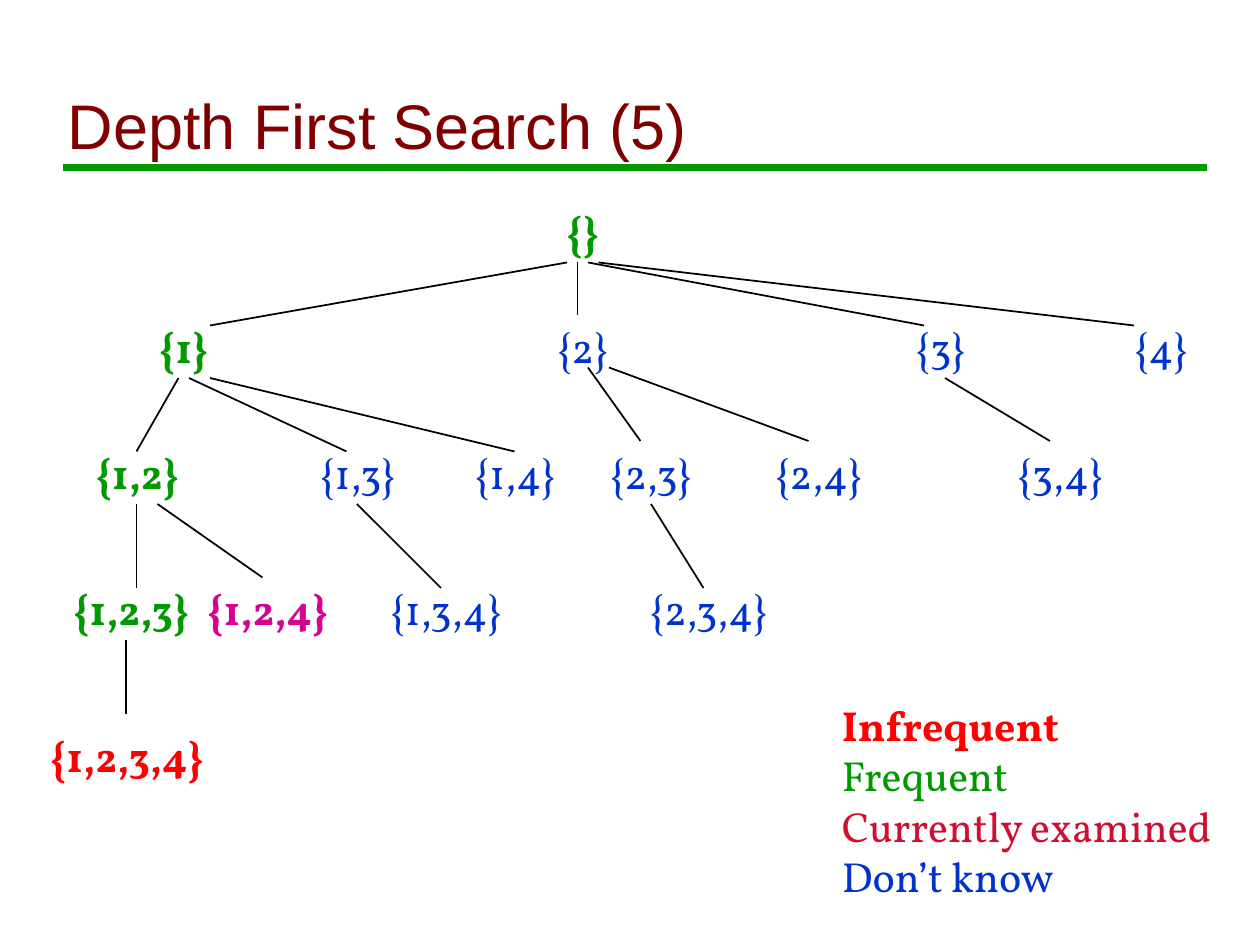
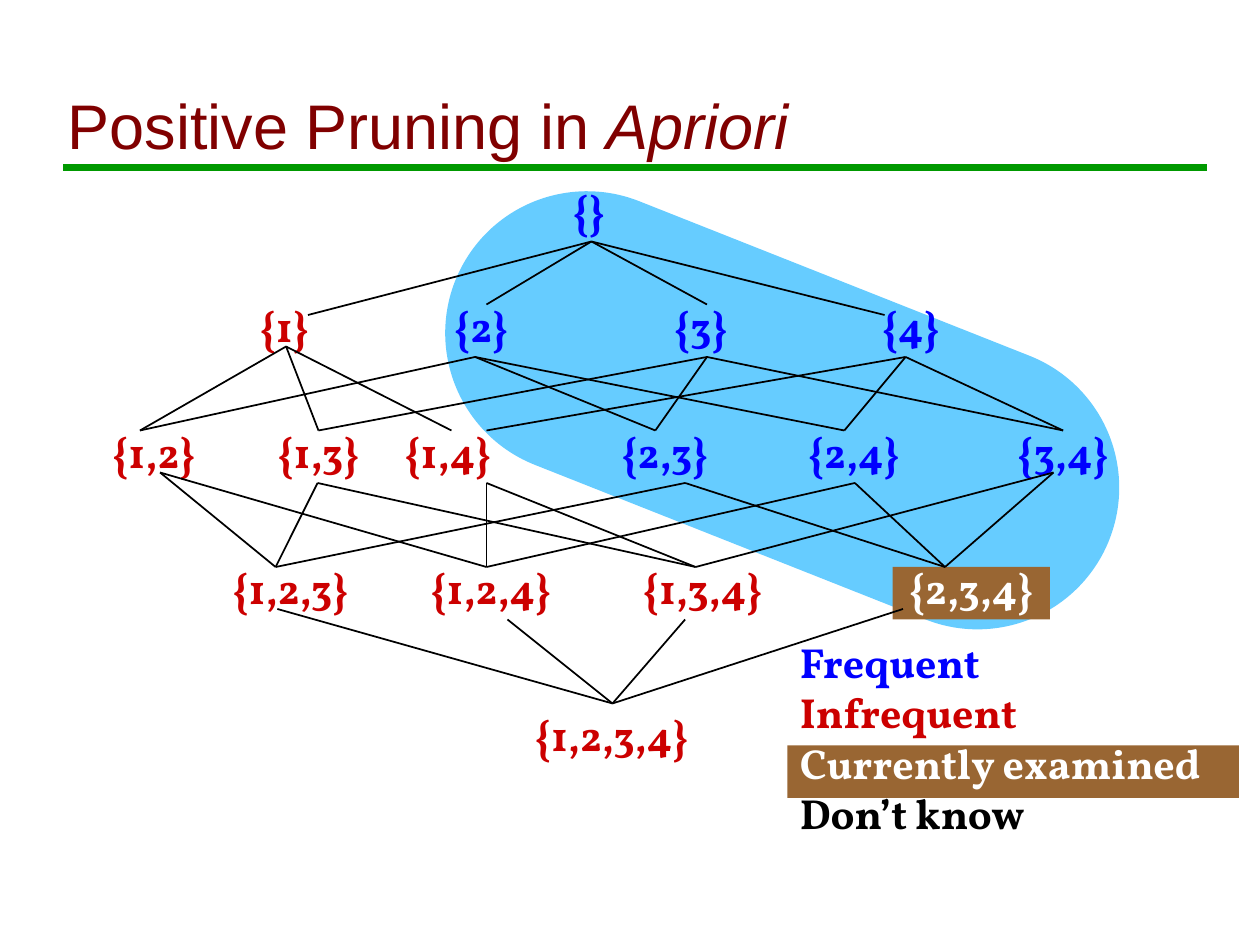
import pptx
import pptx.util
import pptx.dml.color
import pptx.enum.shapes
import pptx.enum.text
import pptx.oxml.ns
import lxml.etree

Pt = pptx.util.Pt
SHAPE = pptx.enum.shapes.MSO_SHAPE
ALIGN = pptx.enum.text.PP_ALIGN

# Shared look
MAROON, GREEN, BLACK, WHITE = "800000", "009900", "000000", "FFFFFF"
BLUE, RED, PINK, ROSE = "0033CC", "FF0000", "D60093", "CF0E30"
PURE, BRICK, BROWN, SKY = "0000FF", "CC0000", "996633", "66CCFF"
HEAD, BODY = "Arial", "Vollkorn"
WIDTHS = (35, 49, 69, 90, 110)  # label width by number of items

# Slide 1: item set -> colour, centre x, line from its parent
TREE_TOPS = (114, 180, 252, 330, 414)
TREE = {
    "": (GREEN, 333, None),
    "1": (GREEN, 105, (324, 150, 120, 186)),
    "2": (BLUE, 333, (330, 150, 330, 180)),
    "3": (BLUE, 537.5, (336, 150, 528, 186)),
    "4": (BLUE, 663.5, (342, 150, 648, 186)),
    "12": (GREEN, 78.5, (102, 216, 78, 258)),
    "13": (BLUE, 204.5, (108, 216, 198, 258)),
    "14": (BLUE, 294.5, (120, 216, 294, 258)),
    "23": (BLUE, 372, (336, 210, 366, 252)),
    "24": (BLUE, 468, (348, 210, 462, 252)),
    "34": (BLUE, 606, (540, 216, 600, 252)),
    "123": (GREEN, 75, (78, 288, 78, 336)),
    "124": (PINK, 153, (90, 288, 150, 330)),
    "134": (BLUE, 255, (204, 288, 252, 336)),
    "234": (BLUE, 405, (372, 288, 402, 336)),
    "1234": (RED, 72.5, (72, 366, 72, 408)),
}
TREE_KEY = [("Infrequent", RED, True), ("Frequent", GREEN, False),
            ("Currently examined", ROSE, False), ("Don’t know", BLUE, False)]

# Slide 2: item set -> colour, centre x, upper port, lower port
GRID_TOPS = (102, 168, 240, 318, 402)
GRID = {
    "": (PURE, 336.5, None, (338, 138)),
    "1": (BRICK, 162.5, (176, 180), (163.5, 198)),
    "2": (PURE, 275, (278, 174), (271.5, 204)),
    "3": (PURE, 400.5, (404, 174), (404, 204)),
    "4": (PURE, 520.5, (505.5, 180), (517.5, 204)),
    "12": (BRICK, 88, (80, 246), (91.5, 270)),
    "13": (BRICK, 182, (182, 246), (181.5, 276)),
    "14": (BRICK, 256, (278, 246), (278, 276)),
    "23": (PURE, 380, (374.5, 246), (391.5, 276)),
    "24": (PURE, 488, (482.5, 246), (488.5, 276)),
    "34": (PURE, 607.5, (607.5, 246), (602, 270)),
    "123": (BRICK, 166, (157.5, 324), (158.5, 348)),
    "124": (BRICK, 280.5, (278, 324), (290, 354)),
    "134": (BRICK, 401.5, (397.5, 324), (391.5, 354)),
    "234": (WHITE, 555, (540, 324), (516, 348)),
    "1234": (BRICK, 349.5, (350, 402), None),
}
MOVED = {("1", "14"): (258, 246)}  # ends beside the usual port
GRID_KEY = [("Frequent", PURE, True), ("Infrequent", BRICK, True),
            ("Currently examined", WHITE, True), ("Don’t know", BLACK, True)]


def paint(hue):
    return pptx.dml.color.RGBColor.from_string(hue)


def write(para, text, face, size, hue, bold=False, slant=False):
    run = para.add_run()
    run.text = text
    font = run.font
    font.name, font.size = face, Pt(size)
    font.bold, font.italic = bold, slant
    font.color.rgb = paint(hue)


def rule(slide, ends, hue=BLACK, weight=1):
    kind = pptx.enum.shapes.MSO_CONNECTOR.STRAIGHT
    line = slide.shapes.add_connector(kind, *map(Pt, ends))
    line.line.color.rgb = paint(hue)
    line.line.width = Pt(weight)
    tag = pptx.oxml.ns.qn("a:effectLst")
    lxml.etree.SubElement(line._element.spPr, tag)


def block(slide, kind, place, hue):
    shape = slide.shapes.add_shape(kind, *map(Pt, place))
    shape.shadow.inherit = False
    shape.fill.solid()
    shape.fill.fore_color.rgb = paint(hue)
    shape.line.fill.background()
    return shape


def label(slide, items, top, mid, hue):
    wide = WIDTHS[len(items)]
    box = slide.shapes.add_textbox(Pt(mid - wide / 2), Pt(top), Pt(wide), Pt(36))
    box.text_frame.word_wrap = False
    para = box.text_frame.paragraphs[0]
    para.alignment = ALIGN.CENTER
    write(para, "{" + ",".join(items) + "}", BODY, 24, hue, hue != BLUE)


def legend(slide, place, rows):
    frame = slide.shapes.add_textbox(*map(Pt, place)).text_frame
    frame.word_wrap = True
    for i, (text, hue, bold) in enumerate(rows):
        para = frame.add_paragraph() if i else frame.paragraphs[0]
        write(para, text, BODY, 24, hue, bold)


def start(deck, parts):
    """Add a slide with its title, given as (text, italic) runs, and rule."""
    slide = deck.slides.add_slide(deck.slide_layouts[5])
    title = slide.shapes.title
    title.left, title.top, title.width, title.height = map(Pt, (31.5, 18, 646, 78))
    frame = title.text_frame
    frame.auto_size = pptx.enum.text.MSO_AUTO_SIZE.NONE
    frame.vertical_anchor = pptx.enum.text.MSO_ANCHOR.BOTTOM
    para = frame.paragraphs[0]
    para.alignment = ALIGN.LEFT
    for text, slant in parts:
        write(para, text, HEAD, 36, MAROON, slant=slant)
    rule(slide, (36, 96, 690, 96), GREEN, 4)
    return slide


def draw_tree(deck):
    slide = start(deck, [("Depth First Search (5)", False)])
    for items, (hue, mid, ends) in TREE.items():
        label(slide, items, TREE_TOPS[len(items)], mid, hue)
        if ends:
            rule(slide, ends)
    legend(slide, (474, 396, 230, 151), TREE_KEY)


def draw_grid(deck):
    slide = start(deck, [("Positive Pruning in ", False), ("Apriori", True)])

    # Highlights behind the sets
    pill = block(slide, SHAPE.ROUNDED_RECTANGLE, (246, 153.5, 402, 162), SKY)
    pill.adjustments[0] = 0.5
    pill.rotation = 21.6
    block(slide, SHAPE.RECTANGLE, (510, 324, 90, 30), BROWN)

    # Sets, each joined to those with one item more
    for items, (hue, mid, _, low) in GRID.items():
        label(slide, items, GRID_TOPS[len(items)], mid, hue)
        for more, (_, _, high, _) in GRID.items():
            if len(more) == len(items) + 1 and set(items) < set(more):
                rule(slide, low + MOVED.get((items, more), high))

    block(slide, SHAPE.RECTANGLE, (450, 426, 258, 30), BROWN)
    legend(slide, (450, 360, 258, 151), GRID_KEY)


def main():
    deck = pptx.Presentation()
    deck.slide_width, deck.slide_height = Pt(720), Pt(540)
    draw_tree(deck)
    draw_grid(deck)
    deck.save("out.pptx")


if __name__ == "__main__":
    main()
